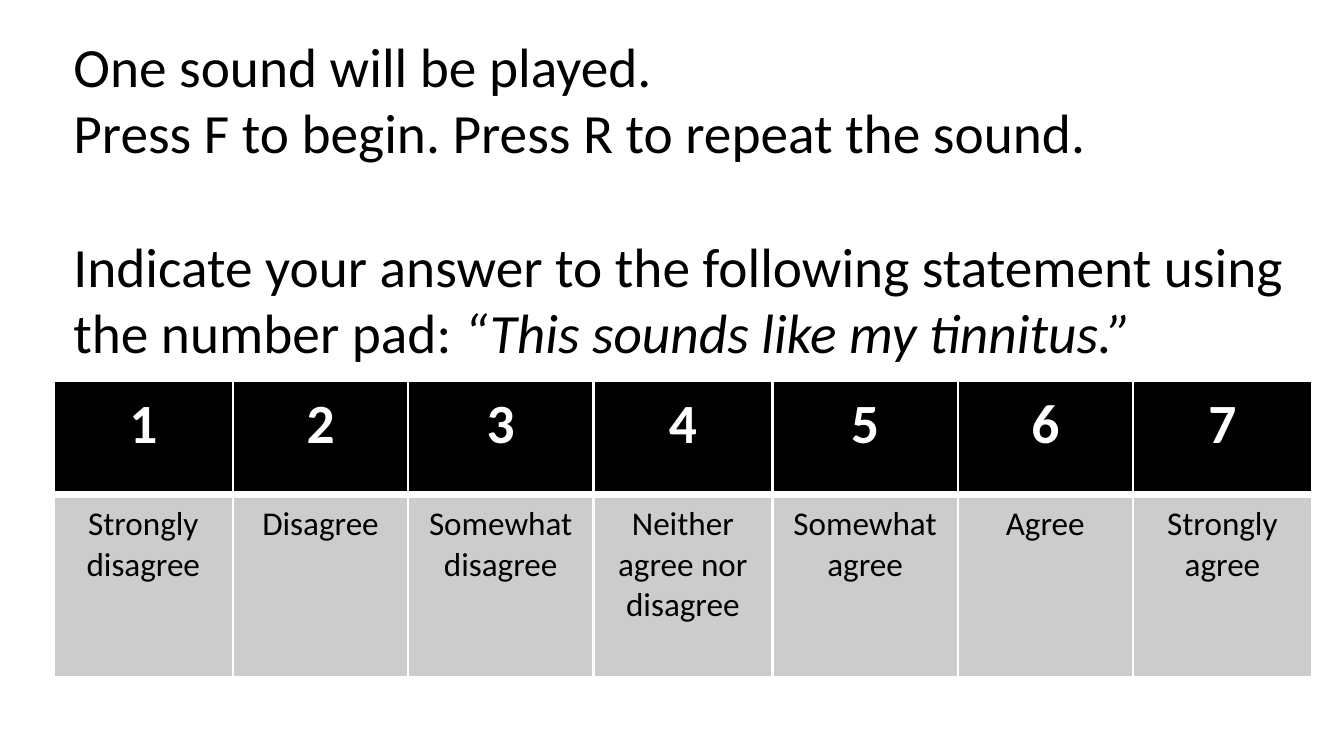
from lxml.etree import SubElement
from pptx import Presentation
from pptx.dml.color import RGBColor
from pptx.enum.text import MSO_AUTO_SIZE as AutoSize, PP_ALIGN as Align
from pptx.oxml.ns import qn
from pptx.util import Inches, Pt

BLACK = RGBColor(0x00, 0x00, 0x00)
WHITE = RGBColor(0xFF, 0xFF, 0xFF)
GREY = RGBColor(0xCC, 0xCC, 0xCC)
FONT = "Calibri"
LARGE, SMALL = 20, 12
LINE_HEIGHT = 1.22  # of the font size

SLIDE_W, SLIDE_H = Inches(6.75), Inches(3.75)
LEFT, WIDTH = round(SLIDE_W * 0.04), Inches(6.32)

# Each paragraph: space before in lines, then (text, italic) runs
INSTRUCTIONS = [
    (0, [("One sound will be played.", False)]),
    (0, [("Press F to begin. Press R to repeat the sound.", False)]),
    (1, [("Indicate your answer to the following statement using the number pad: ", False),
         ("“This sounds like my tinnitus.”", True)]),
]
# Answer label and column width in inches
SCALE = [
    ("Strongly disagree", 0.9),
    ("Disagree", 0.88),
    ("Somewhat disagree", 0.93),
    ("Neither agree nor disagree", 0.9),
    ("Somewhat agree", 0.93),
    ("Agree", 0.88),
    ("Strongly agree", 0.9),
]
ROW_HEIGHTS = (0.57, 0.92)
THIN, THICK = 1, 3


def add_run(paragraph, text, size, color, bold=False, italic=False):
    run = paragraph.add_run()
    run.text = text
    font = run.font
    font.name, font.size = FONT, Pt(size)
    font.bold, font.italic = bold, italic
    font.color.rgb = color


def add_instructions(slide):
    box = slide.shapes.add_textbox(LEFT, Inches(0.11), WIDTH, Inches(1.78))
    frame = box.text_frame
    frame.word_wrap = True
    frame.auto_size = AutoSize.SHAPE_TO_FIT_TEXT
    for index, (lines_before, runs) in enumerate(INSTRUCTIONS):
        paragraph = frame.add_paragraph() if index else frame.paragraphs[0]
        paragraph.space_before = Pt(lines_before * LARGE * LINE_HEIGHT)
        for text, italic in runs:
            add_run(paragraph, text, LARGE, BLACK, italic=italic)


def set_borders(cell, top, bottom):
    properties = cell._tc.get_or_add_tcPr()
    for side, width in (("L", THIN), ("R", THIN), ("T", top), ("B", bottom)):
        line = SubElement(properties, qn(f"a:ln{side}"), w=str(Pt(width)))
        fill = SubElement(line, qn("a:solidFill"))
        SubElement(fill, qn("a:srgbClr"), val=str(WHITE))


def fill_cell(cell, text, size, color, background, bold, top, bottom):
    # Narrower side margins keep the longest word on one line
    cell.margin_left = cell.margin_right = Inches(0.08)
    set_borders(cell, top, bottom)
    cell.fill.solid()
    cell.fill.fore_color.rgb = background
    paragraph = cell.text_frame.paragraphs[0]
    paragraph.alignment = Align.CENTER
    add_run(paragraph, text, size, color, bold=bold)


def add_answer_scale(slide):
    table = slide.shapes.add_table(
        len(ROW_HEIGHTS), len(SCALE), LEFT, round(SLIDE_H * 0.51),
        WIDTH, Inches(sum(ROW_HEIGHTS))).table
    table.first_row = table.horz_banding = False
    for row, height in zip(table.rows, ROW_HEIGHTS):
        row.height = Inches(height)
    for index, (label, width) in enumerate(SCALE):
        table.columns[index].width = Inches(width)
        fill_cell(table.cell(0, index), str(index + 1), LARGE, WHITE, BLACK,
                  True, THIN, THICK)
        fill_cell(table.cell(1, index), label, SMALL, BLACK, GREY,
                  False, THICK, THIN)


def main():
    deck = Presentation()
    deck.slide_width, deck.slide_height = SLIDE_W, SLIDE_H
    slide = deck.slides.add_slide(deck.slide_layouts[6])  # blank layout
    add_instructions(slide)
    add_answer_scale(slide)
    deck.save("out.pptx")


if __name__ == "__main__":
    main()
